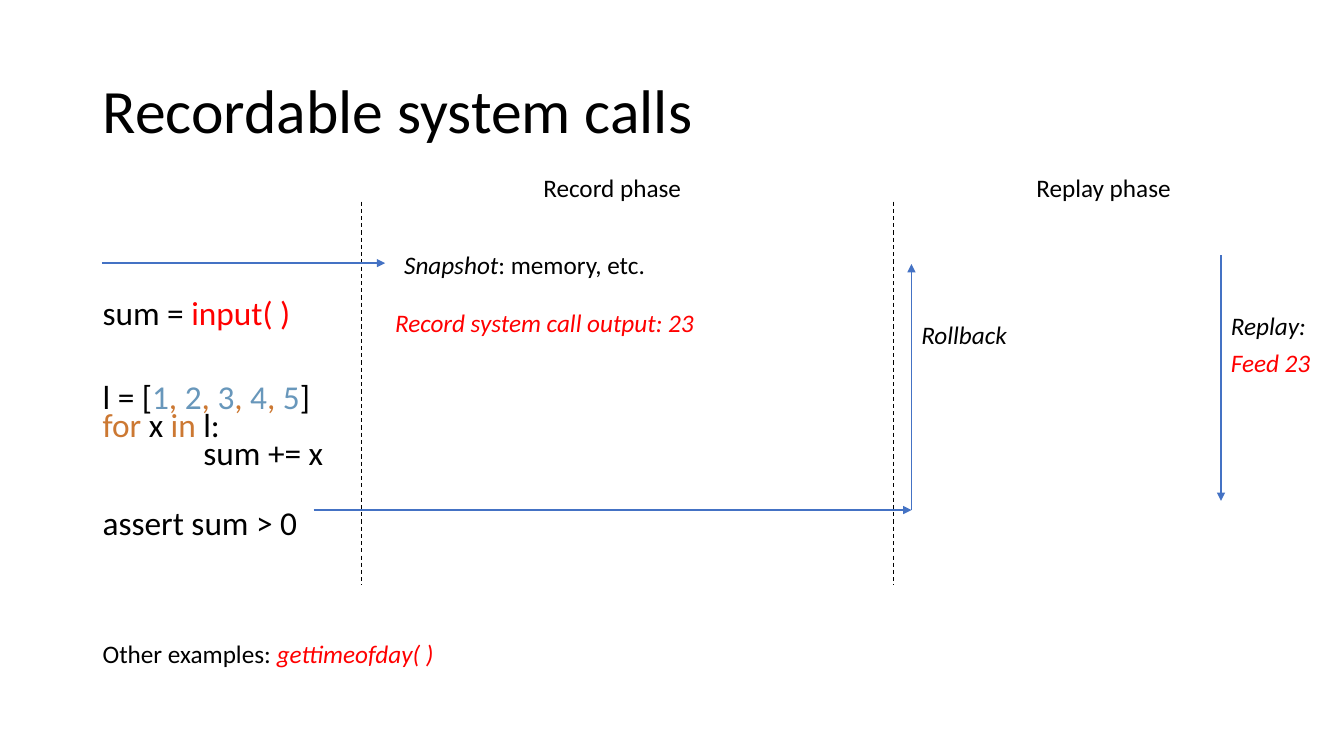
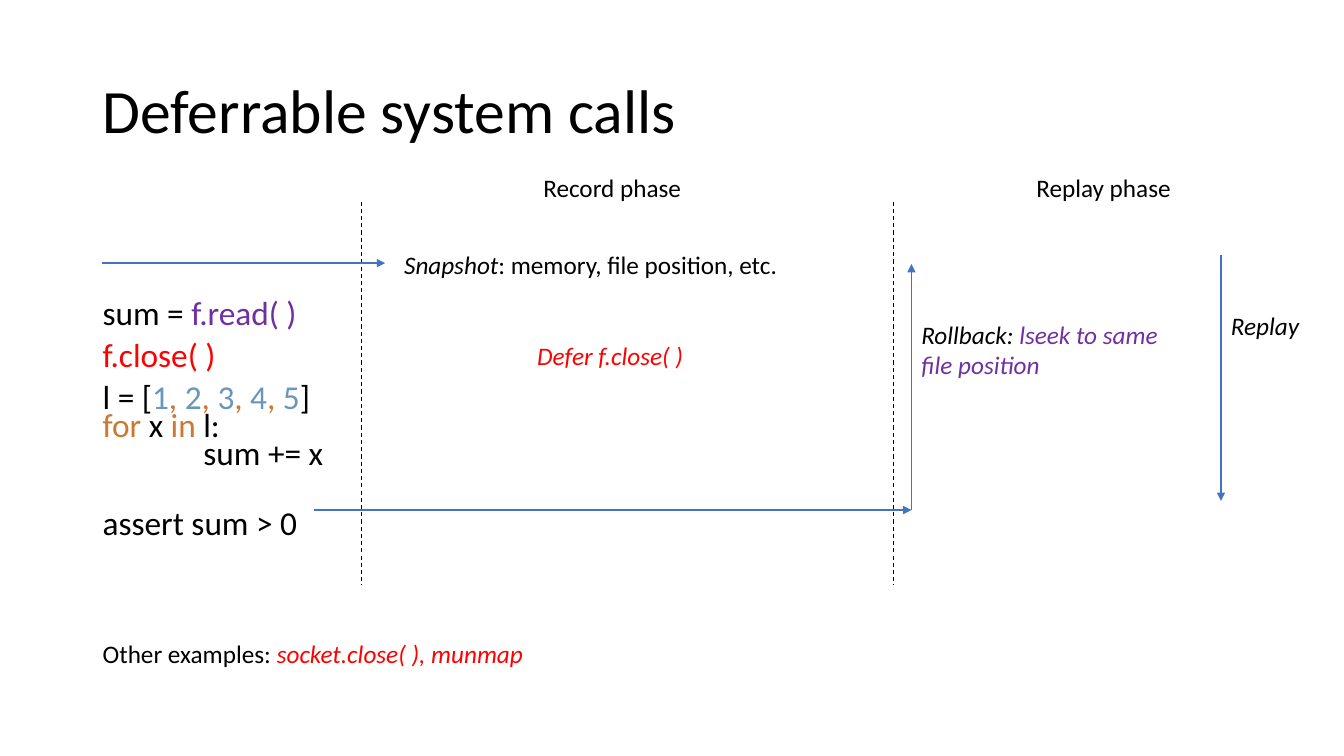
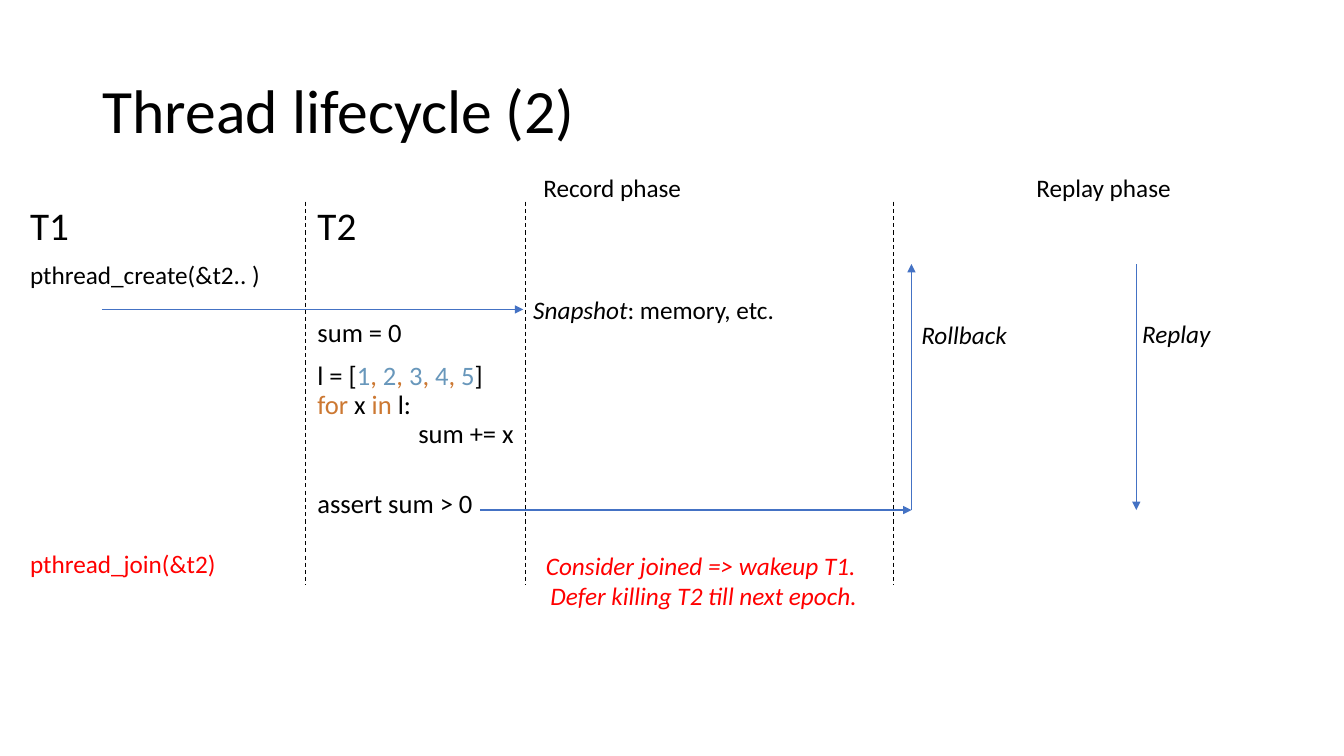
from dataclasses import dataclass

from lxml import etree
from pptx import Presentation
from pptx.dml.color import RGBColor
from pptx.enum.dml import MSO_LINE
from pptx.enum.shapes import MSO_CONNECTOR
from pptx.enum.text import MSO_ANCHOR, MSO_AUTO_SIZE, PP_ALIGN
from pptx.oxml.ns import qn
from pptx.util import Emu, Pt

STRAIGHT = MSO_CONNECTOR.STRAIGHT
DASH = MSO_LINE.DASH
TOP, MIDDLE = MSO_ANCHOR.TOP, MSO_ANCHOR.MIDDLE
GROW, FIXED = MSO_AUTO_SIZE.SHAPE_TO_FIT_TEXT, MSO_AUTO_SIZE.NONE
LEFT, CENTER = PP_ALIGN.LEFT, PP_ALIGN.CENTER
LEFT_SIDE = 1
EMU_PER_PX = 9144


@dataclass(frozen=True)
class Theme:
    font: str = "Calibri"
    ink: str = "000000"
    red: str = "FF0000"
    purple: str = "7030A0"
    number: str = "6897BB"
    keyword: str = "CC7832"
    arrow: str = "4472C4"
    title: float = 44
    thread: float = 28
    code: float = 23.8
    small_code: float = 19
    label: float = 18
    arrow_width: float = 1
    divider_width: float = 0.75


THEME = Theme()


@dataclass(frozen=True)
class Run:
    text: str
    color: str = THEME.ink
    italic: bool = False


@dataclass(frozen=True)
class Line:
    runs: list
    size: float = THEME.label
    before: float = 0
    spacing: float = 1
    indent: int = 0
    align: object = LEFT


def px(length):
    return Emu(length * EMU_PER_PX)


def apply(target, values):
    for name, value in values.items():
        setattr(target, name, value)


def add_text(slide, box, lines, **frame_format):
    text_box = slide.shapes.add_textbox(*map(px, box))
    frame = text_box.text_frame
    defaults = {"word_wrap": False, "auto_size": GROW, "vertical_anchor": TOP}
    apply(frame, {**defaults, **frame_format})
    for index, line in enumerate(lines):
        paragraph = frame.add_paragraph() if index else frame.paragraphs[0]
        apply(paragraph, {"space_before": Pt(line.before),
                          "line_spacing": line.spacing,
                          "alignment": line.align})
        if line.indent:
            paragraph._p.get_or_add_pPr().set("marL", str(px(line.indent)))
        for piece in line.runs:
            run = paragraph.add_run()
            run.text = piece.text
            apply(run.font, {"name": THEME.font, "size": Pt(line.size),
                             "italic": piece.italic})
            run.font.color.rgb = RGBColor.from_string(piece.color)
    return text_box


def add_label(slide, box, *runs):
    return add_text(slide, box, [Line(runs)])


def add_line(slide, start, end, color, width):
    connector = slide.shapes.add_connector(STRAIGHT, *map(px, start + end))
    connector.line.color.rgb = RGBColor.from_string(color)
    connector.line.width = Pt(width)
    etree.SubElement(connector._element.spPr, qn("a:effectLst"))
    return connector


def add_arrow(slide, start, end):
    arrow = add_line(slide, start, end, THEME.arrow, THEME.arrow_width)
    head = etree.SubElement(arrow.line._get_or_add_ln(), qn("a:tailEnd"))
    head.set("type", "triangle")
    return arrow


def add_divider(slide, x):
    divider = add_line(slide, (x, 200), (x, 580), THEME.ink, THEME.divider_width)
    divider.line.dash_style = DASH


def add_code(slide, box, lines, top_inset=5):
    add_text(slide, box, lines, word_wrap=True, auto_size=FIXED,
             margin_top=px(top_inset))


def loop_code(size, spacing, before_list, before_assert):
    numbers = [Run("1", THEME.number)]
    for digit in "2345":
        numbers += [Run(", ", THEME.keyword), Run(digit, THEME.number)]
    return [
        Line([Run("l = ["), *numbers, Run("]")], size, before_list, spacing),
        Line([Run("for ", THEME.keyword), Run("x "),
              Run("in ", THEME.keyword), Run("l:")], size, 0, spacing),
        Line([Run("sum += x")], size, 0, spacing, indent=100),
        Line([Run("assert sum > 0")], size, before_assert, spacing),
    ]


def add_phase_slide(deck, title, dividers, assert_end):
    slide = deck.slides.add_slide(deck.slide_layouts[6])
    add_text(slide, (92, 40, 1150, 145),
             [Line([Run(title)], THEME.title, spacing=0.9)],
             word_wrap=True, auto_size=FIXED, vertical_anchor=MIDDLE)
    for x in dividers:
        add_divider(slide, x)
    add_arrow(slide, (assert_end, 506), (904, 506))
    add_arrow(slide, (904, 506), (904, 262))
    add_label(slide, (529, 166, 159, 40), Run("Record phase"))
    add_label(slide, (1018, 166, 155, 40), Run("Replay phase"))
    return slide


def add_snapshot(slide, box, contents):
    return add_label(slide, box, Run("Snapshot", italic=True), Run(contents))


def add_rollback(slide):
    add_label(slide, (904, 312, 106, 40), Run("Rollback", italic=True))


def add_system_call_slide(deck, title, call_lines, before_list, snapshot,
                          snapshot_width, examples, examples_width):
    slide = add_phase_slide(deck, title, (359, 886), 311)
    add_code(slide, (92, 200, 306, 341),
             call_lines + loop_code(THEME.code, 0.7, before_list, 30),
             top_inset=101)
    add_arrow(slide, (101, 261), (382, 261))
    add_snapshot(slide, (391, 242, snapshot_width, 40), snapshot)
    add_arrow(slide, (1211, 253), (1211, 497))
    add_label(slide, (92, 628, examples_width, 40),
              Run("Other examples: "), Run(examples, THEME.red, True))
    return slide


def call_line(*runs, before=0):
    return Line(runs, THEME.code, before, 0.7)


def build_recordable(deck):
    calls = [call_line(Run("sum = "), Run("input( )", THEME.red))]
    slide = add_system_call_slide(
        deck, "Recordable system calls", calls, 40,
        ": memory, etc.", 268, "gettimeofday( )", 353)
    add_label(slide, (382, 300, 320, 40),
              Run("Record system call output: 23", THEME.red, True))
    add_rollback(slide)
    add_label(slide, (1211, 303, 95, 40), Run("Replay:", italic=True))
    add_label(slide, (1211, 340, 114, 40), Run("Feed 23", THEME.red, True))


def build_deferrable(deck):
    calls = [call_line(Run("sum = "), Run("f.read( )", THEME.purple)),
             call_line(Run("f.close( )", THEME.red), before=10)]
    slide = add_system_call_slide(
        deck, "Deferrable system calls", calls, 10,
        ": memory, file position, etc.", 395, "socket.close( ), munmap", 442)
    add_label(slide, (523, 333, 170, 40),
              Run("Defer f.close( )", THEME.red, True))
    add_text(slide, (904, 312, 263, 71), [
        Line([Run("Rollback: ", italic=True),
              Run("lseek to same", THEME.purple, True)]),
        Line([Run("file position", THEME.purple, True)]),
    ])
    add_label(slide, (1211, 303, 88, 40), Run("Replay", italic=True))


def build_thread_lifecycle(deck):
    slide = add_phase_slide(deck, "Thread lifecycle (2)", (303, 521, 886), 476)
    add_code(slide, (20, 200, 306, 379), [
        Line([Run("T1")], THEME.thread, spacing=0.9),
        Line([Run("pthread_create(&t2.. )")], before=10, spacing=0.9),
        Line([Run("pthread_join(&t2)", THEME.red)], before=187, spacing=0.9),
    ])
    add_code(slide, (305, 200, 255, 341), [
        Line([Run("T2")], THEME.thread, spacing=0.9),
        Line([Run("sum = 0")], THEME.small_code, 50.75, 0.9),
        *loop_code(THEME.small_code, 0.9, 10, 30),
    ])
    snapshot = add_snapshot(slide, (519, 287, 262, 40), ": memory, etc.")
    thread_start = add_arrow(slide, (101, 307), (519, 307))
    thread_start.end_connect(snapshot, LEFT_SIDE)
    add_rollback(slide)
    add_arrow(slide, (1127, 262), (1127, 506))
    add_label(slide, (1123, 311, 88, 40), Run("Replay", italic=True))
    add_text(slide, (530, 541, 336, 71), [
        Line([Run(text, THEME.red, True)], align=CENTER)
        for text in ("Consider joined => wakeup T1. ",
                     "Defer killing T2 till next epoch.")
    ])


def main():
    deck = Presentation()
    apply(deck, {"slide_width": px(1333), "slide_height": px(750)})
    build_recordable(deck)
    build_deferrable(deck)
    build_thread_lifecycle(deck)
    deck.save("out.pptx")


if __name__ == "__main__":
    main()
